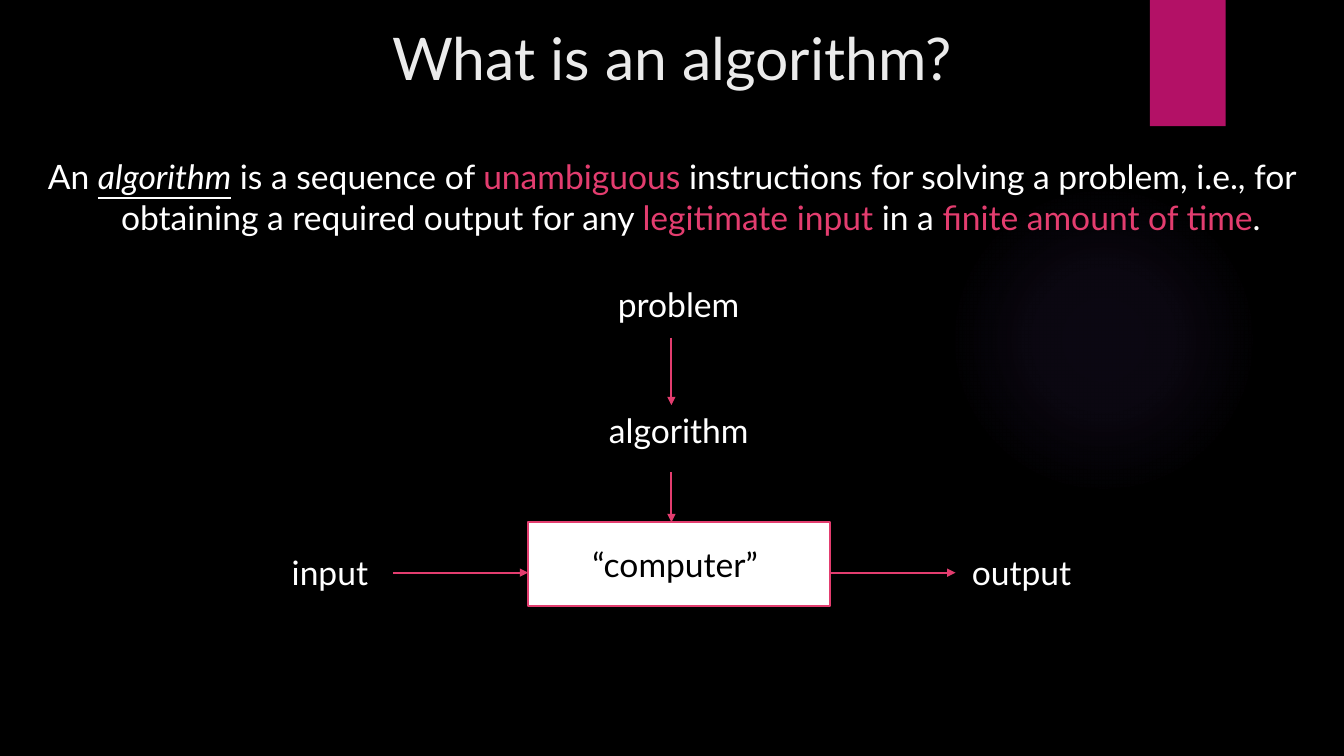
import pptx
import pptx.util
import pptx.dml.color
import pptx.enum.shapes
import pptx.enum.text
import pptx.oxml
import pptx.oxml.ns
from lxml import etree

Cm, Pt = pptx.util.Cm, pptx.util.Pt
RGB = pptx.dml.color.RGBColor
SHAPE = pptx.enum.shapes.MSO_SHAPE
ANCHOR = pptx.enum.text.MSO_ANCHOR
BLACK = RGB(0, 0, 0)
WHITE = RGB(255, 255, 255)
PALE = RGB(0xEB, 0xEB, 0xEB)
PINK = RGB(0xE3, 0x3D, 0x6F)
MAGENTA = RGB(0xB3, 0x11, 0x66)
GLOW = RGB(0x9B, 0x6B, 0xF2)

HEADING = "What is an algorithm?"
PLAIN = {"name": "Lato", "size": Pt(24)}
WHITE_TEXT = {"color": WHITE}
PINK_TEXT = {"color": PINK}
DEFINITION = [
    ("An ", WHITE_TEXT),
    ("algorithm", {"color": WHITE, "italic": True, "underline": True}),
    (" is a sequence of ", WHITE_TEXT),
    ("unambiguous", PINK_TEXT),
    (" instructions for solving a problem, i.e., for obtaining "
     "a required output for any ", WHITE_TEXT),
    ("legitimate input ", PINK_TEXT),
    ("in a ", WHITE_TEXT),
    ("finite amount of time", PINK_TEXT),
    (".", WHITE_TEXT),
]
LABELS = [
    ("problem", 15.21, 7.04, 3.78, 1.27),
    ("algorithm", 15.01, 10.21, 4.19, 1.27),
    ("input", 6.65, 13.79, 3.33, 1.32),
    ("output", 24.08, 13.79, 3.33, 1.32),
]
COMPUTER = ("“computer” ", 13.31, 13.16, 7.62, 2.11)
GLOW_STOPS = [(0, 7), (36, 6), (69, 0)]

SLIDE_WIDTH, SLIDE_HEIGHT = 33.87, 19.05
DOWN_X, ACROSS_Y = 16.92, 14.43
computer_left, computer_top, computer_width = COMPUTER[1:4]
ARROWS = [
    (DOWN_X, 8.51, DOWN_X, 10.21),
    (DOWN_X, 11.89, DOWN_X, computer_top),
    (9.91, ACROSS_Y, computer_left, ACROSS_Y),
    (computer_left + computer_width, ACROSS_Y, 24.08, ACROSS_Y),
]


def lengths(*values):
    return [Cm(value) for value in values]


def write(frame, runs, anchor=ANCHOR.TOP, wrap=True):
    frame.auto_size = pptx.enum.text.MSO_AUTO_SIZE.NONE
    frame.word_wrap = wrap
    frame.vertical_anchor = anchor
    paragraph = frame.paragraphs[0]
    paragraph.alignment = pptx.enum.text.PP_ALIGN.CENTER
    for words, look in runs:
        run = paragraph.add_run()
        run.text = words
        for key, value in {**PLAIN, **look}.items():
            if key == "color":
                run.font.color.rgb = value
            else:
                setattr(run.font, key, value)
    return paragraph


def add_block(slide, preset, box, fill):
    block = slide.shapes.add_shape(preset, *lengths(*box))
    block.shadow.inherit = False
    block.fill.solid()
    block.fill.fore_color.rgb = fill
    block.line.fill.background()
    return block


def add_glow(slide):
    glow = add_block(slide, SHAPE.OVAL, (23.9, 4.65, 7.82, 7.82), GLOW)
    stops = "".join(
        f'<a:gs pos="{place * 1000}"><a:srgbClr val="{GLOW}">'
        f'<a:alpha val="{alpha * 1000}"/></a:srgbClr></a:gs>'
        for place, alpha in GLOW_STOPS)
    gradient = pptx.oxml.parse_xml(
        f'<a:gradFill {pptx.oxml.ns.nsdecls("a")}><a:gsLst>{stops}</a:gsLst>'
        '<a:path path="circle"><a:fillToRect l="50000" t="50000" '
        'r="50000" b="50000"/></a:path></a:gradFill>')
    properties = glow.element.spPr
    properties.replace(properties.find(pptx.oxml.ns.qn("a:solidFill")), gradient)


def add_arrow(slide, ends):
    arrow = slide.shapes.add_connector(
        pptx.enum.shapes.MSO_CONNECTOR.STRAIGHT, *lengths(*ends))
    arrow.line.color.rgb = PINK
    arrow.line.width = Pt(1.5)
    qn = pptx.oxml.ns.qn
    properties = arrow.element.spPr
    etree.SubElement(properties.find(qn("a:ln")), qn("a:tailEnd"), type="triangle")
    etree.SubElement(properties, qn("a:effectLst"))


def main():
    deck = pptx.Presentation()
    deck.slide_width, deck.slide_height = lengths(SLIDE_WIDTH, SLIDE_HEIGHT)
    slide = deck.slides.add_slide(deck.slide_layouts[5])
    slide.background.fill.solid()
    slide.background.fill.fore_color.rgb = BLACK

    add_glow(slide)
    add_block(slide, SHAPE.RECTANGLE, (28.98, 0, 1.91, 3.18), MAGENTA)

    title = slide.shapes.title
    title.left, title.top, title.width, title.height = lengths(
        0, -0.03, SLIDE_WIDTH, 2.92)
    write(title.text_frame, [(HEADING, {"size": Pt(42), "color": PALE})],
          ANCHOR.MIDDLE)

    definition = slide.shapes.add_textbox(*lengths(0, 3.81, SLIDE_WIDTH, 3.23))
    paragraph = write(definition.text_frame, DEFINITION)
    hanging = paragraph._p.get_or_add_pPr()
    hanging.set("marL", str(Cm(0.95)))
    hanging.set("indent", str(-Cm(0.95)))

    words, *box = COMPUTER
    computer = add_block(slide, SHAPE.RECTANGLE, box, WHITE)
    computer.line.color.rgb = PINK
    computer.line.width = Pt(1.5)
    write(computer.text_frame, [(words, {"color": BLACK})], ANCHOR.MIDDLE, False)

    for words, *box in LABELS:
        label = slide.shapes.add_textbox(*lengths(*box))
        write(label.text_frame, [(words, WHITE_TEXT)])
    for ends in ARROWS:
        add_arrow(slide, ends)

    deck.save("out.pptx")


if __name__ == "__main__":
    main()
